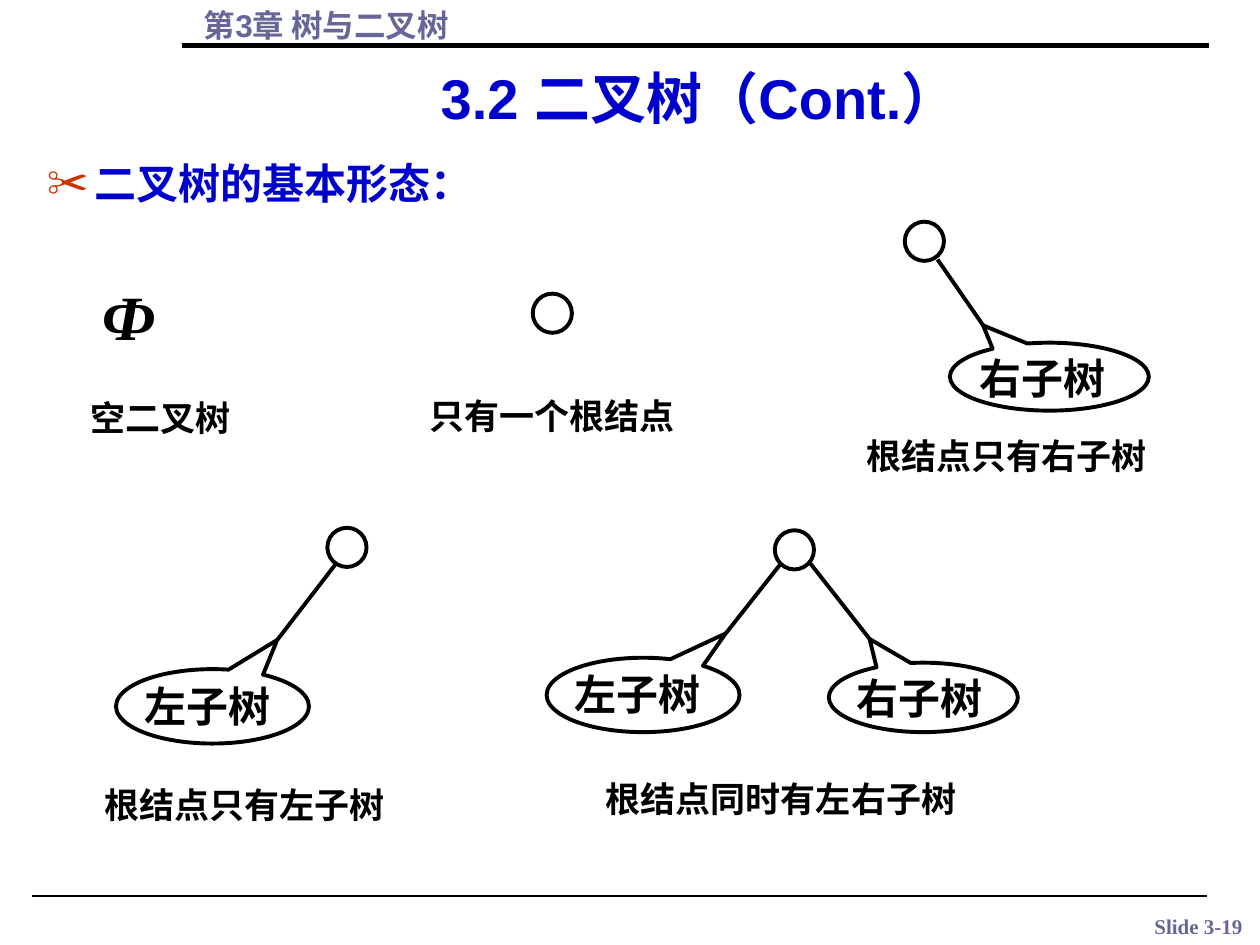
"""Builds the slide on the basic forms of a binary tree."""
from lxml import etree
from pptx import Presentation
from pptx import util as u
from pptx.dml.color import RGBColor
from pptx.enum import shapes, text
from pptx.oxml.ns import qn

SERIF, SANS = "Times New Roman", "Arial"
BLACK, BLUE, SLATE, RED = "000000", "0000CC", "666699", "CC3300"
NODE = 0.79
LEFT, RIGHT = "左子树", "右子树"
CAPTIONS = [
    ("空二叉树", 1.57, 7.87, 4.65),
    ("只有一个根结点", 8.41, 7.82, 5.72),
    ("根结点只有左子树", 1.85, 15.67, 6.55),
    ("根结点只有右子树", 17.22, 8.64, 6.35),
    ("根结点同时有左右子树", 11.96, 15.54, 7.75),
]
TREES = [
    ((10.74, 5.92), []),
    ((6.6, 10.64), [
        (LEFT, (6.76, 11.38), (5.59, 12.9), (2.34, 13.49, 3.89, 1.5))]),
    ((18.24, 4.47), [
        (RIGHT, (18.9, 5.23), (19.82, 6.56), (19.15, 6.91, 4.01, 1.37))]),
    ((15.62, 10.69), [
        (LEFT, (15.75, 11.35), (14.63, 12.77), (11.02, 13.26, 3.89, 1.5)),
        (RIGHT, (16.33, 11.35), (17.53, 12.88), (16.71, 13.36, 3.81, 1.4))]),
]


def cm(values):
    """Turn a sequence of centimetre values into lengths."""
    return [u.Cm(v) for v in values]


def paint(color, value):
    """Set a colour format from a hex string."""
    color.rgb = RGBColor.from_string(value)


def apply(target, formats):
    """Set every attribute of a dict on an object."""
    for name, value in formats.items():
        setattr(target, name, value)


def write(tf, content, size, color=BLACK, font=SERIF, italic=False,
          align=text.PP_ALIGN.LEFT, inset=None, **frame):
    """Fill a text frame with one bold paragraph and return the paragraph."""
    apply(tf, {"word_wrap": True, "auto_size": text.MSO_AUTO_SIZE.NONE,
               "vertical_anchor": text.MSO_ANCHOR.TOP, **frame})
    if inset is not None:
        for side in ("left", "top", "right", "bottom"):
            setattr(tf, f"margin_{side}", u.Cm(inset))
    p = tf.paragraphs[0]
    apply(p, {"alignment": align, "space_before": u.Pt(0)})
    r = p.add_run()
    r.text = content
    apply(r.font, {"name": font, "size": u.Pt(size), "bold": True,
                   "italic": italic})
    paint(r.font.color, color)
    return p


def add_label(s, box, content, size, **formats):
    """Add a text box."""
    write(s.shapes.add_textbox(*cm(box)).text_frame, content, size, **formats)


def add_line(s, start, end, width=2.25):
    """Add a straight black line without a shadow."""
    sp = s.shapes.add_connector(shapes.MSO_CONNECTOR.STRAIGHT,
                                *cm(start + end))
    sp.line.width = u.Pt(width)
    paint(sp.line.color, BLACK)
    etree.SubElement(sp._element.spPr, qn("a:effectLst"))


def add_outline(s, kind, box):
    """Add an unfilled preset shape with a black outline."""
    sp = s.shapes.add_shape(kind, *cm(box))
    sp.shadow.inherit = False
    sp.fill.background()
    sp.line.width = u.Pt(2.25)
    paint(sp.line.color, BLACK)
    return sp


def add_subtree(s, name, start, tip, box):
    """Add an edge and the callout whose tip meets its end."""
    add_line(s, start, tip)
    sp = add_outline(s, shapes.MSO_SHAPE.OVAL_CALLOUT, box)
    for i in range(2):
        sp.adjustments[i] = (tip[i] - box[i]) / box[i + 2] - 0.5
    write(sp.text_frame, name, 24, inset=0, align=text.PP_ALIGN.JUSTIFY)


def add_tree(s, root, subtrees):
    """Add a root node with its subtrees."""
    add_outline(s, shapes.MSO_SHAPE.OVAL, root + (NODE, NODE))
    for subtree in subtrees:
        add_subtree(s, *subtree)


def set_bullet(p, char, color, indent):
    """Give a paragraph a coloured bullet with a hanging indent."""
    pPr = p._p.get_or_add_pPr()
    pPr.set("marL", str(u.Cm(indent)))
    pPr.set("indent", str(-u.Cm(indent)))
    clr = etree.SubElement(pPr, qn("a:buClr"))
    etree.SubElement(clr, qn("a:srgbClr"), val=color)
    etree.SubElement(pPr, qn("a:buChar"), char=char)


def place(sp, box):
    """Move and size a placeholder."""
    apply(sp, dict(zip(("left", "top", "width", "height"), cm(box))))
    return sp.text_frame


def main():
    """Build and save the slide."""
    prs = Presentation()
    apply(prs, {"slide_width": u.Cm(25.4), "slide_height": u.Cm(19.05)})
    s = prs.slides.add_slide(prs.slide_layouts[1])

    add_label(s, (22.28, 18.29, 3.76, 0.76), "Slide 3-19", 12, color=SLATE,
              align=text.PP_ALIGN.CENTER, word_wrap=False)
    add_label(s, (3.86, 0, 20.4, 1.02), "第3章 树与二叉树", 18, color=SLATE,
              font=SANS)
    add_line(s, (3.66, 0.91), (24.38, 0.91), 3)
    add_line(s, (0.64, 18.06), (24.33, 18.06), 0.75)

    title, body = s.placeholders
    write(place(title, (3.45, 1.07, 21.29, 1.7)), "3.2 二叉树（Cont.）", 32,
          color=BLUE, font=SANS, align=text.PP_ALIGN.CENTER,
          vertical_anchor=text.MSO_ANCHOR.BOTTOM)
    p = write(place(body, (0.69, 3.05, 24.18, 14.86)), "二叉树的基本形态：", 24,
              color=BLUE, font=SANS)
    set_bullet(p, "✂", RED, 0.97)

    add_label(s, (2.06, 5.59, 2.51, 2.39), "Ф", 36, italic=True, inset=0,
              align=text.PP_ALIGN.JUSTIFY)
    for content, left, top, width in CAPTIONS:
        add_label(s, (left, top, width, 1.12), content, 20)
    for root, subtrees in TREES:
        add_tree(s, root, subtrees)
    prs.save("out.pptx")


if __name__ == "__main__":
    main()
